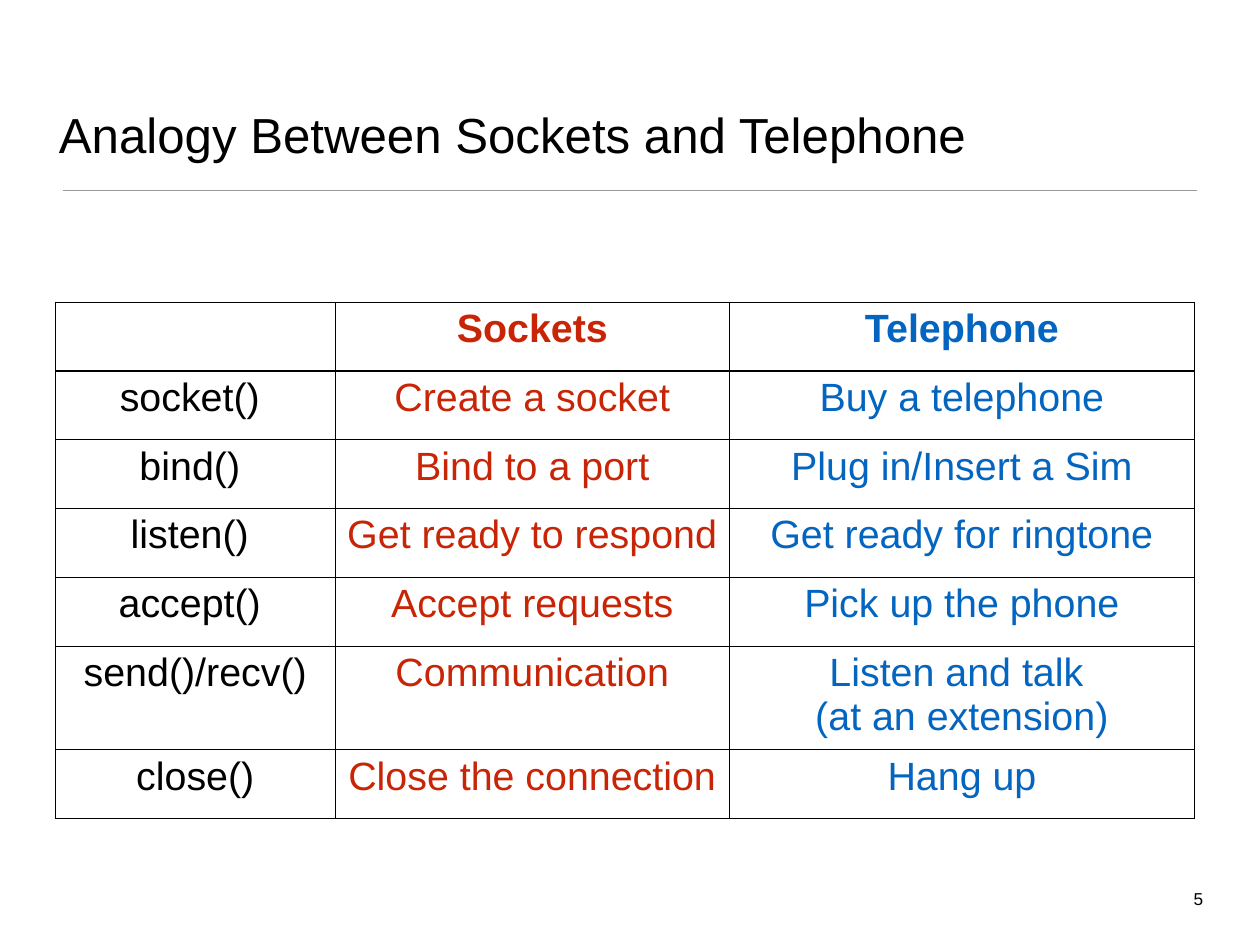
from dataclasses import dataclass

from lxml.etree import SubElement
from pptx import Presentation
from pptx.dml.color import RGBColor
from pptx.enum.shapes import MSO_CONNECTOR as CONN
from pptx.enum.text import MSO_ANCHOR as ANCHOR, PP_ALIGN as ALIGN
from pptx.oxml.ns import qn
from pptx.util import Pt

COLORS = {
    "black": "000000",
    "rule": "9A9A9A",
    "sockets": "C82506",
    "telephone": "0365C0",
}
FONT = "Arial"
ROW_HEIGHT = 56


@dataclass
class Column:
    width: float
    color: str


@dataclass
class Analogy:
    call: str
    sockets: str
    telephone: str


COLUMNS = [
    Column(227.5, "black"),
    Column(320.4, "sockets"),
    Column(378, "telephone"),
]
ROWS = [
    Analogy("", "Sockets", "Telephone"),
    Analogy("socket() ", "Create a socket", "Buy a telephone"),
    Analogy("bind() ", "Bind to a port", "Plug in/Insert a Sim"),
    Analogy("listen() ", "Get ready to respond", "Get ready for ringtone"),
    Analogy("accept() ", "Accept requests", "Pick up the phone"),
    Analogy("send()/recv()", "Communication", "Listen and talk \n(at an extension)"),
    Analogy("close()", "Close the connection", "Hang up"),
]


def write(tf, text: str, *, size: float, color: str = "black",
          bold: bool = False, align=ALIGN.LEFT) -> None:
    """Fill a text frame, one paragraph per line of text."""
    for i, line in enumerate(text.split("\n")):
        p = tf.paragraphs[0] if i == 0 else tf.add_paragraph()
        p.alignment = align
        r = p.add_run()
        r.text = line
        r.font.name = FONT
        r.font.size = Pt(size)
        r.font.bold = bold
        r.font.color.rgb = RGBColor.from_string(COLORS[color])


def add_text(s, text: str, left: float, top: float, width: float,
             height: float, *, anchor=ANCHOR.TOP, **fmt) -> None:
    tf = s.shapes.add_textbox(Pt(left), Pt(top), Pt(width), Pt(height)).text_frame
    tf.word_wrap = True
    tf.vertical_anchor = anchor
    tf.margin_left = tf.margin_right = tf.margin_top = tf.margin_bottom = Pt(2.9)
    write(tf, text, **fmt)


def add_rule(s, left: float, right: float, y: float) -> None:
    line = s.shapes.add_connector(CONN.STRAIGHT, Pt(left), Pt(y), Pt(right), Pt(y))
    line.line.color.rgb = RGBColor.from_string(COLORS["rule"])
    line.line.width = Pt(1)
    SubElement(line._element.spPr, qn("a:effectLst"))


def set_borders(cell) -> None:
    tc_pr = cell._tc.get_or_add_tcPr()
    for side in ("lnL", "lnR", "lnT", "lnB"):
        ln = SubElement(tc_pr, qn(f"a:{side}"), w=str(Pt(1)))
        fill = SubElement(ln, qn("a:solidFill"))
        SubElement(fill, qn("a:srgbClr"), val=COLORS["black"])


def add_analogy_table(s, left: float, top: float) -> None:
    width = sum(col.width for col in COLUMNS)
    table = s.shapes.add_table(len(ROWS), len(COLUMNS), Pt(left), Pt(top),
                               Pt(width), Pt(ROW_HEIGHT * len(ROWS))).table
    table.first_row = table.horz_banding = False
    for j, col in enumerate(COLUMNS):
        table.columns[j].width = Pt(col.width)
    for i, row in enumerate(ROWS):
        table.rows[i].height = Pt(ROW_HEIGHT)
        for j, text in enumerate((row.call, row.sockets, row.telephone)):
            cell = table.cell(i, j)
            set_borders(cell)
            cell.fill.background()
            if text:
                write(cell.text_frame, text, size=32, color=COLUMNS[j].color,
                      bold=i == 0, align=ALIGN.CENTER)


def main() -> None:
    prs = Presentation()
    prs.slide_width, prs.slide_height = Pt(1024), Pt(768)
    s = prs.slides.add_slide(prs.slide_layouts[6])
    add_rule(s, 51.2, 972.8, 154.8)
    add_text(s, "Analogy Between Sockets and Telephone", 45, 26, 934, 110,
             anchor=ANCHOR.BOTTOM, size=40)
    add_analogy_table(s, 45, 245.5)
    add_text(s, "5", 958.3, 719.3, 22.3, 21.6, size=14, align=ALIGN.RIGHT)
    prs.save("out.pptx")


if __name__ == "__main__":
    main()
